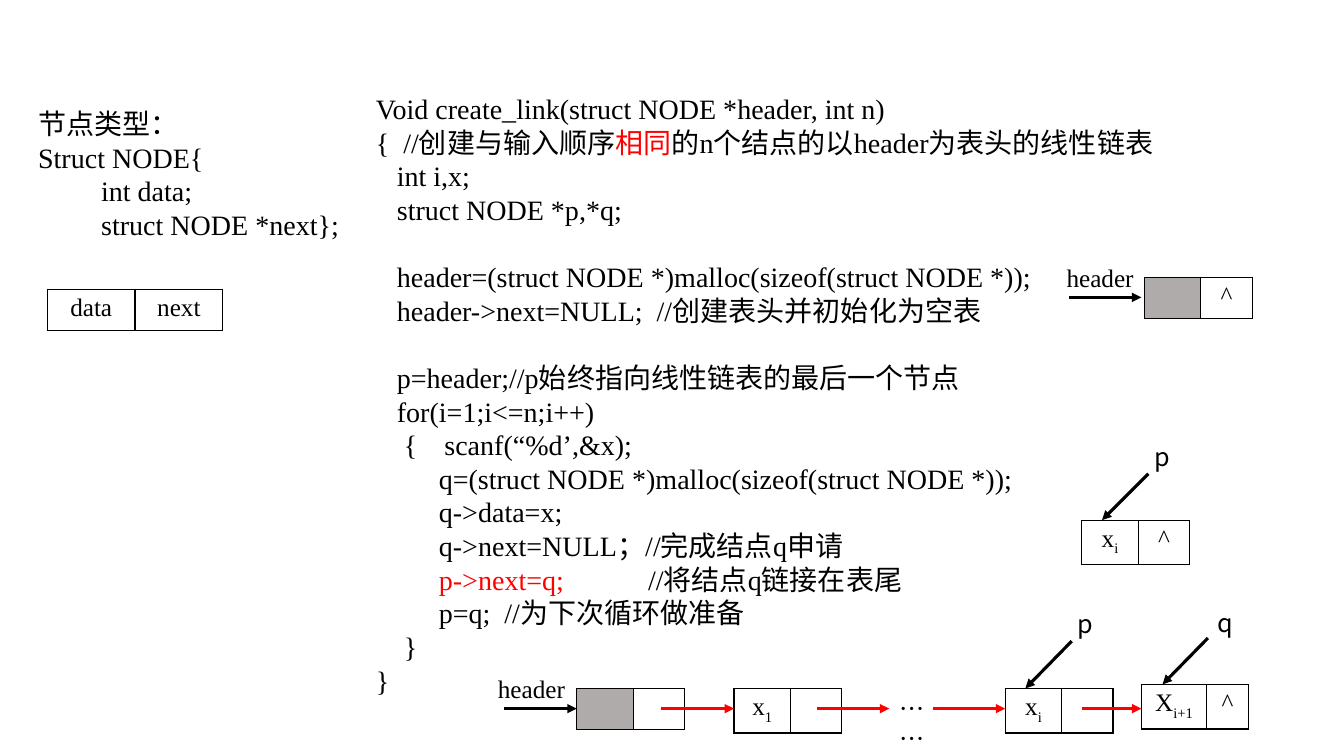
from dataclasses import dataclass

from lxml import etree
from pptx import Presentation
from pptx.dml.color import RGBColor
from pptx.enum.shapes import MSO_CONNECTOR
from pptx.enum.text import PP_ALIGN
from pptx.oxml.ns import qn
from pptx.util import Pt

PX = 9144  # 100 px to the inch
STRAIGHT = MSO_CONNECTOR.STRAIGHT
CENTER = PP_ALIGN.CENTER


@dataclass(frozen=True)
class Theme:
    black: str = "000000"
    white: str = "FFFFFF"
    red: str = "FF0000"
    gray: str = "AFABAB"
    serif: str = "Times New Roman"
    sans: str = "Noto Sans CJK SC"
    code: int = 20
    label: int = 18
    blank_line: int = 24
    arrow: float = 2.25
    border: float = 1


T = Theme()

# Each line: its spans, the space before it in points, its tab stop in px
CODE = [
    (["Void create_link(struct NODE *header, int n)"], 0, 0),
    (["{  //创建与输入顺序", ("相同", T.red),
      "的n个结点的以header为表头的线性链表"], 0, 0),
    (["   int i,x;"], 0, 0),
    (["   struct NODE *p,*q;"], 0, 0),
    (["   header=(struct NODE *)malloc(sizeof(struct NODE *));"], T.blank_line, 0),
    (["   header->next=NULL;  //创建表头并初始化为空表"], 0, 0),
    (["   p=header;//p始终指向线性链表的最后一个节点"], T.blank_line, 0),
    (["   for(i=1;i<=n;i++)"], 0, 0),
    (["    {\tscanf(“%d’,&x);"], 0, 68),
    (["         q=(struct NODE *)malloc(sizeof(struct NODE *));"], 0, 0),
    (["         q->data=x;"], 0, 0),
    (["         q->next=NULL；//完成结点q申请"], 0, 0),
    ([("         p->next=q;", T.red), "\t//将结点q链接在表尾"], 0, 270),
    (["         p=q;  //为下次循环做准备"], 0, 0),
    (["    }"], 0, 0),
    (["}"], 0, 0),
]
NODE_TYPE = [([line], 0, 0) for line in (
    "节点类型：", "Struct NODE{", "         int data;",
    "         struct NODE *next};")]

# left, top, column widths, cells as (text, subscript); None is the shaded head
HEAD, EMPTY, END = None, ("", ""), ("^", "")
NODES = [
    (47, 287, (87, 87), (("data", ""), ("next", ""))),
    (1135, 275, (56, 51), (HEAD, END)),
    (1073, 516, (56, 51), (("x", "i"), END)),
    (572, 683, (56, 51), (HEAD, EMPTY)),
    (728, 683, (56, 51), (("x", "1"), EMPTY)),
    (997, 683, (56, 51), (("x", "i"), EMPTY)),
    (1132, 679, (65, 41), (("X", "i+1"), END)),
]
ROW_HEIGHT = 41

LABELS = [
    ("header", 1048, 255, 94, T.serif),
    ("header", 484, 663, 94, T.serif),
    ("……", 882, 683, 56, T.sans),
    ("p", 1135, 433, 35, T.sans),
    ("p", 1059, 599, 35, T.sans),
    ("q", 1198, 598, 35, T.sans),
]

CHAIN_Y = 703
LINK_SPANS = [(656, 728), (810, 882), (925, 997), (1073, 1132)]
POINTERS = [
    (1060, 295, 1132, 295), (500, CHAIN_Y, 572, CHAIN_Y),
    (1139, 470, 1093, 516), (1063, 636, 1017, 683), (1198, 633, 1153, 679),
]


def px(n):
    return n * PX


def rgb(color):
    return RGBColor.from_string(color)


def add_run(p, text, size, font=T.serif, color=T.black, subscript=False):
    r = p.add_run()
    r.text = text
    r.font.size = Pt(size)
    r.font.name = font
    r.font.color.rgb = rgb(color)
    rPr = r.font._element
    etree.SubElement(rPr, qn("a:ea"), typeface=T.sans)
    if subscript:
        rPr.set("baseline", "-25000")


def add_tab_stop(p, position):
    tabs = etree.SubElement(p._p.get_or_add_pPr(), qn("a:tabLst"))
    etree.SubElement(tabs, qn("a:tab"), pos=str(px(position)), algn="l")


def add_text_box(s, left, top, width, height):
    tf = s.shapes.add_textbox(px(left), px(top), px(width), px(height)).text_frame
    tf.word_wrap = True
    return tf


def add_code(s, lines, left, top, width, height):
    tf = add_text_box(s, left, top, width, height)
    for i, (spans, before, tab) in enumerate(lines):
        p = tf.add_paragraph() if i else tf.paragraphs[0]
        if tab:
            add_tab_stop(p, tab)
        if before:
            p.space_before = Pt(before)
        for span in spans:
            text, color = (span, T.black) if isinstance(span, str) else span
            add_run(p, text, T.code, color=color)


def add_label(s, text, left, top, width, font):
    tf = add_text_box(s, left, top, width, 40)
    add_run(tf.paragraphs[0], text, T.label, font)


def add_borders(cell):
    tcPr = cell._tc.get_or_add_tcPr()
    for side in ("lnL", "lnR", "lnT", "lnB"):
        ln = etree.SubElement(tcPr, qn(f"a:{side}"), w=str(Pt(T.border)))
        fill = etree.SubElement(ln, qn("a:solidFill"))
        etree.SubElement(fill, qn("a:srgbClr"), val=T.black)


def add_node(s, left, top, widths, contents):
    """Draw a list node as a one-row table."""
    table = s.shapes.add_table(1, len(widths), px(left), px(top),
                               px(sum(widths)), px(ROW_HEIGHT)).table
    table.first_row = table.horz_banding = False
    for i, (width, content) in enumerate(zip(widths, contents)):
        table.columns[i].width = px(width)
        cell = table.cell(0, i)
        add_borders(cell)
        cell.fill.solid()
        cell.fill.fore_color.rgb = rgb(T.gray if content is HEAD else T.white)
        p = cell.text_frame.paragraphs[0]
        p.alignment = CENTER
        p.font.size = Pt(T.label)
        text, subscript = content or EMPTY
        if text:
            add_run(p, text, T.label)
        if subscript:
            add_run(p, subscript, T.label, subscript=True)


def add_arrow(s, x1, y1, x2, y2, color):
    line = s.shapes.add_connector(STRAIGHT, px(x1), px(y1), px(x2), px(y2))
    line.line.color.rgb = rgb(color)
    line.line.width = Pt(T.arrow)
    etree.SubElement(line.line._get_or_add_ln(), qn("a:tailEnd"), type="triangle")
    etree.SubElement(line._element.spPr, qn("a:effectLst"))


def main():
    prs = Presentation()
    prs.slide_width, prs.slide_height = px(1333), px(750)
    s = prs.slides.add_slide(prs.slide_layouts[6])
    add_code(s, CODE, 363, 86, 797, 650)
    add_code(s, NODE_TYPE, 28, 101, 352, 145)
    for node in NODES:
        add_node(s, *node)
    for label in LABELS:
        add_label(s, *label)
    for pointer in POINTERS:
        add_arrow(s, *pointer, T.black)
    for start, end in LINK_SPANS:
        add_arrow(s, start, CHAIN_Y, end, CHAIN_Y, T.red)
    prs.save("out.pptx")


if __name__ == "__main__":
    main()
